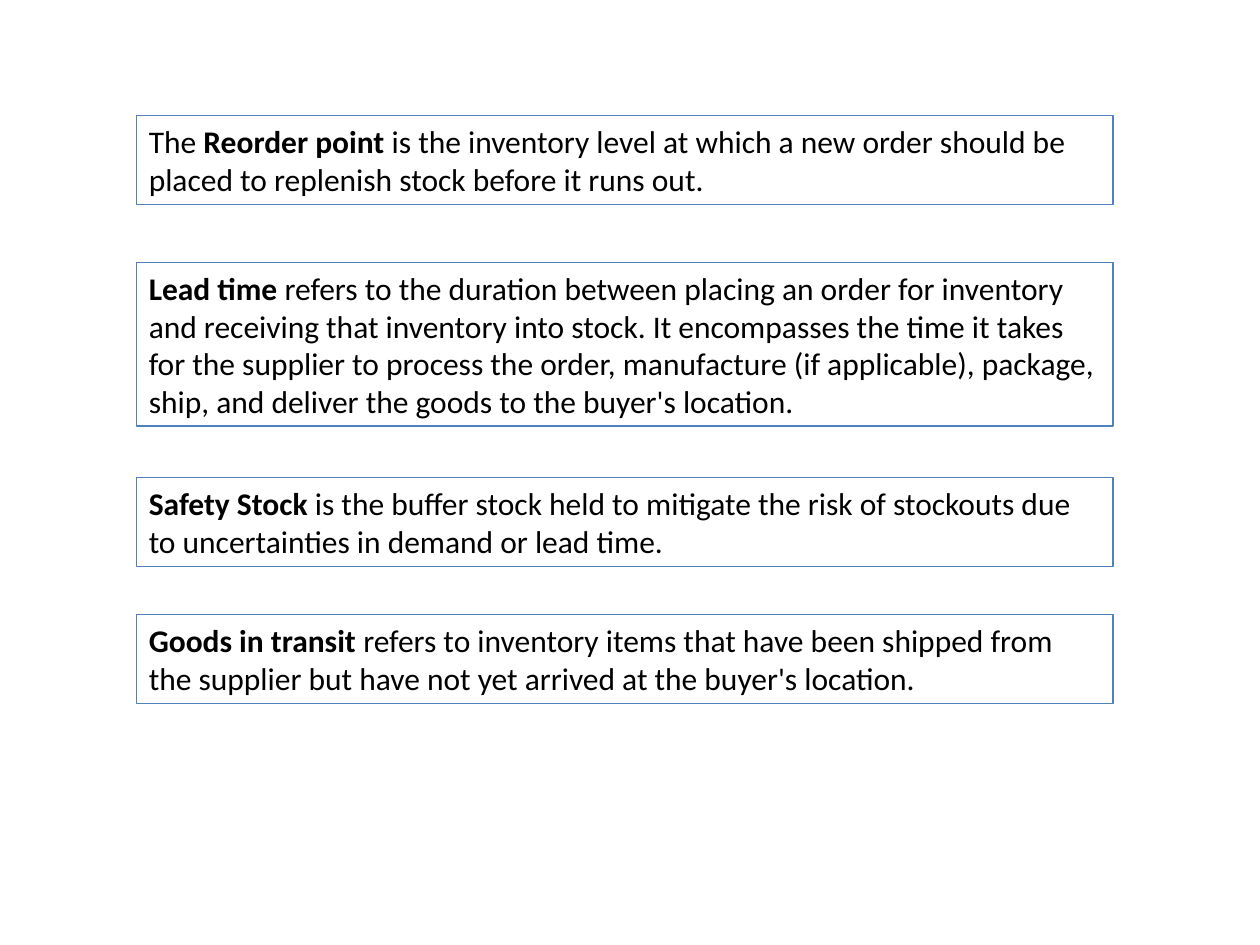
from pptx import Presentation
from pptx.dml.color import RGBColor
from pptx.enum.shapes import MSO_SHAPE
from pptx.enum.text import MSO_ANCHOR, MSO_AUTO_SIZE, PP_ALIGN
from pptx.util import Cm, Pt


def color(hex_value):
    return RGBColor.from_string(hex_value)


deck = Presentation()
deck.slide_width, deck.slide_height = Cm(25.4), Cm(19.05)
slide = deck.slides.add_slide(deck.slide_layouts[6])

frame_format = {
    "word_wrap": True,
    "auto_size": MSO_AUTO_SIZE.SHAPE_TO_FIT_TEXT,
    "vertical_anchor": MSO_ANCHOR.TOP,
    "margin_left": Cm(0.25),
    "margin_right": Cm(0.25),
    "margin_top": Cm(0.13),
    "margin_bottom": Cm(0.13),
}
font_format = {"name": "Calibri", "size": Pt(18)}

definitions = [
    (5.29, 3.3, "FFFFFF", "", "Lead time ",
     "refers to the duration between placing an order for inventory and receiving "
     "that inventory into stock. It encompasses the time it takes for the supplier "
     "to process the order, manufacture (if applicable), package, ship, and deliver "
     "the goods to the buyer's location."),
    (2.33, 1.79, "FFFFFF", "The ", "Reorder point ",
     "is the inventory level at which a new order should be placed to replenish "
     "stock before it runs out."),
    (9.63, 1.79, None, "", "Safety Stock ",
     "is the buffer stock held to mitigate the risk of stockouts due to "
     "uncertainties in demand or lead time."),
    (12.39, 1.79, None, "", "Goods in transit ",
     "refers to inventory items that have been shipped from the supplier but have "
     "not yet arrived at the buyer's location."),
]

for top, height, background, opening, term, meaning in definitions:
    definition = slide.shapes.add_shape(
        MSO_SHAPE.RECTANGLE, Cm(2.75), Cm(top), Cm(19.69), Cm(height))
    definition.shadow.inherit = False
    if background:
        definition.fill.solid()
        definition.fill.fore_color.rgb = color(background)
    else:
        definition.fill.background()
    definition.line.color.rgb = color("4F81BD")
    definition.line.width = Pt(0.75)
    for attribute, value in frame_format.items():
        setattr(definition.text_frame, attribute, value)

    sentence = definition.text_frame.paragraphs[0]
    sentence.alignment = PP_ALIGN.LEFT
    for words, bold in ((opening, False), (term, True), (meaning, False)):
        if words:
            part = sentence.add_run()
            part.text = words
            part.font.bold = bold
            part.font.color.rgb = color("000000")
            for attribute, value in font_format.items():
                setattr(part.font, attribute, value)

deck.save("out.pptx")
